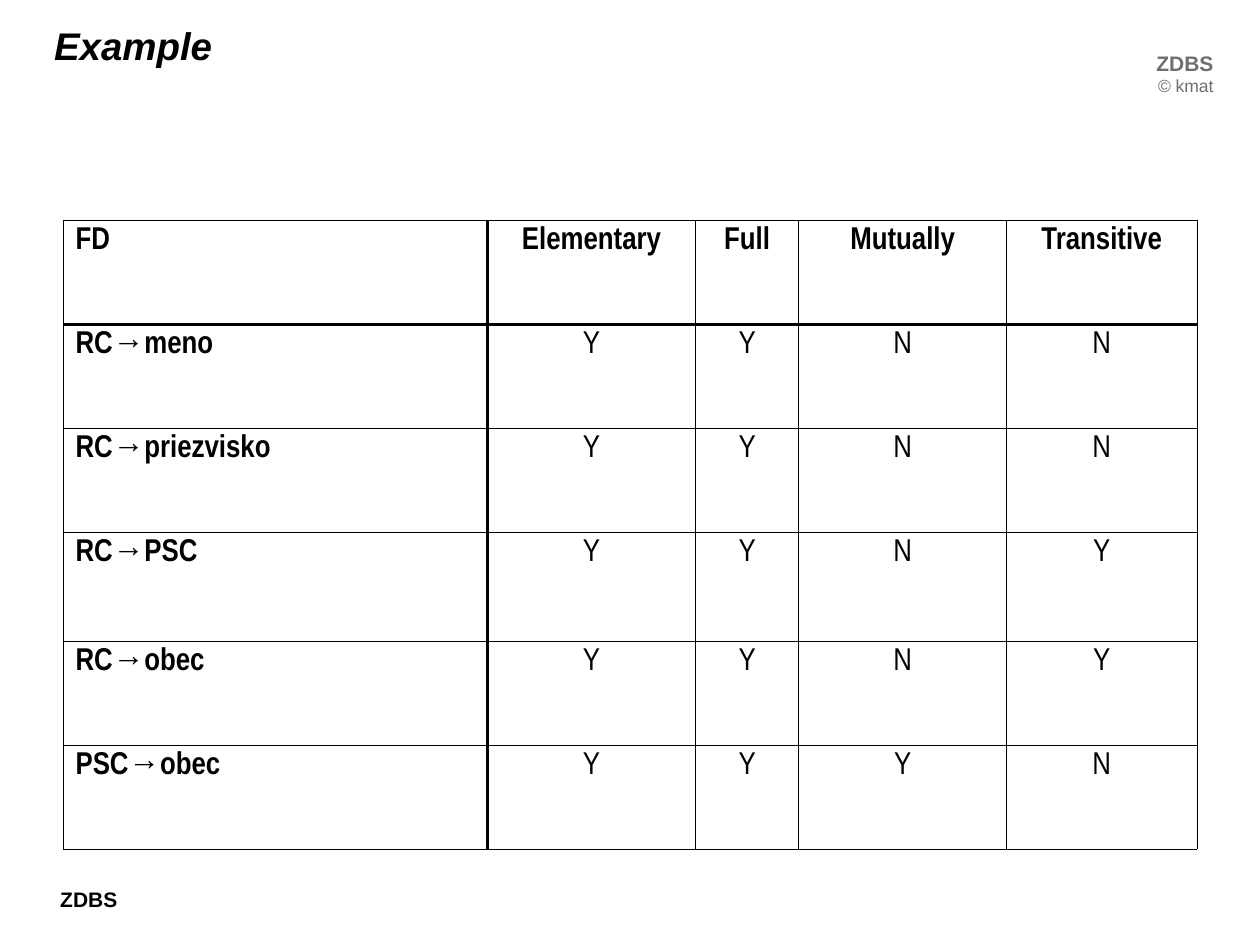
from lxml.etree import SubElement
from pptx import Presentation
from pptx.dml.color import RGBColor
from pptx.enum.text import MSO_AUTO_SIZE as Auto, PP_ALIGN as Align
from pptx.oxml.ns import qn
from pptx.util import Inches, Pt

BLACK = RGBColor(0x00, 0x00, 0x00)
GRAY = RGBColor(0x6E, 0x6E, 0x6E)
UNIT = Inches(0.1)
THIN, THICK = Pt(0.45), Pt(1.47)
COLS = (33.7, 16.5, 8.2, 16.5, 15.1)
ROWS = (8.25, 8.25, 8.25, 8.65, 8.25, 8.25)
HEADER = ("FD", "Elementary", "Full", "Mutually", "Transitive")
DEPENDENCIES = {
    "RC→meno": "YYNN",
    "RC→priezvisko": "YYNN",
    "RC→PSC": "YYNY",
    "RC→obec": "YYNY",
    "PSC→obec": "YYYN",
}


def grid(*counts):
    """Turn counts of grid columns and rows into lengths."""
    return [int(n * UNIT) for n in counts]


def set_attrs(obj, values):
    """Set each named attribute of an object."""
    for name, value in values.items():
        setattr(obj, name, value)


def write(p, text, color=BLACK, **font):
    """Write one formatted run into a paragraph."""
    r = p.add_run()
    r.text = text
    r.font.color.rgb = color
    set_attrs(r.font, font)


def add_text(s, box, lines, align=Align.LEFT, color=BLACK, **frame):
    """Place a text box with one paragraph for each (text, font) line."""
    tf = s.shapes.add_textbox(*grid(*box)).text_frame
    set_attrs(tf, {"word_wrap": True, "auto_size": Auto.NONE} | frame)
    for i, (text, font) in enumerate(lines):
        p = tf.add_paragraph() if i else tf.paragraphs[0]
        p.alignment = align
        write(p, text, color, name="Arial", **font)


def add_border(cell, side, width):
    """Draw a solid black border on one side of a cell."""
    ln = SubElement(cell._tc.get_or_add_tcPr(), qn(f"a:ln{side}"), w=str(width))
    fill = SubElement(ln, qn("a:solidFill"))
    SubElement(fill, qn("a:srgbClr"), val=str(BLACK))


def fill_cell(cell, text, row, col):
    """Format one cell by its place in the table."""
    thick = {"L": col == 1, "R": col == 0, "T": row == 1, "B": row == 0}
    for side, is_thick in thick.items():
        add_border(cell, side, THICK if is_thick else THIN)
    cell.fill.background()
    p = cell.text_frame.paragraphs[0]
    p.alignment = Align.CENTER if col else Align.LEFT
    pPr = p._p.get_or_add_pPr()
    pPr.set("marL", str(Inches(0.38)))
    pPr.set("indent", str(Inches(-0.38)))
    write(p, text, name="Arial Narrow", size=Pt(18), bold=row == 0 or col == 0)


def add_dependency_table(s, box):
    """Place the table of functional dependencies."""
    data = [HEADER] + [(fd, *marks) for fd, marks in DEPENDENCIES.items()]
    table = s.shapes.add_table(len(ROWS), len(COLS), *grid(*box)).table
    set_attrs(table, {"first_row": False, "horz_banding": False})
    for column, width in zip(table.columns, grid(*COLS)):
        column.width = width
    for row, height in zip(table.rows, grid(*ROWS)):
        row.height = height
    for i, texts in enumerate(data):
        for j, text in enumerate(texts):
            fill_cell(table.cell(i, j), text, i, j)


def main():
    """Build the slide and save it."""
    prs = Presentation()
    set_attrs(prs, {"slide_width": 100 * UNIT, "slide_height": 75 * UNIT})
    s = prs.slides.add_slide(prs.slide_layouts[6])
    label = ("ZDBS", {"size": Pt(12), "bold": True})
    add_text(s, (3.8, 69.9, 7, 5), [label])
    add_text(s, (90.3, 3.5, 7, 4.7), [label, ("© kmat", {"size": Pt(10)})],
             Align.RIGHT, GRAY)
    add_text(s, (4.3, 1.75, 65, 6.6),
             [("Example", {"size": Pt(22), "bold": True, "italic": True})],
             margin_left=0, margin_right=0, margin_top=0)
    add_dependency_table(s, (5, 17.5, sum(COLS), sum(ROWS)))
    prs.save("out.pptx")


if __name__ == "__main__":
    main()
